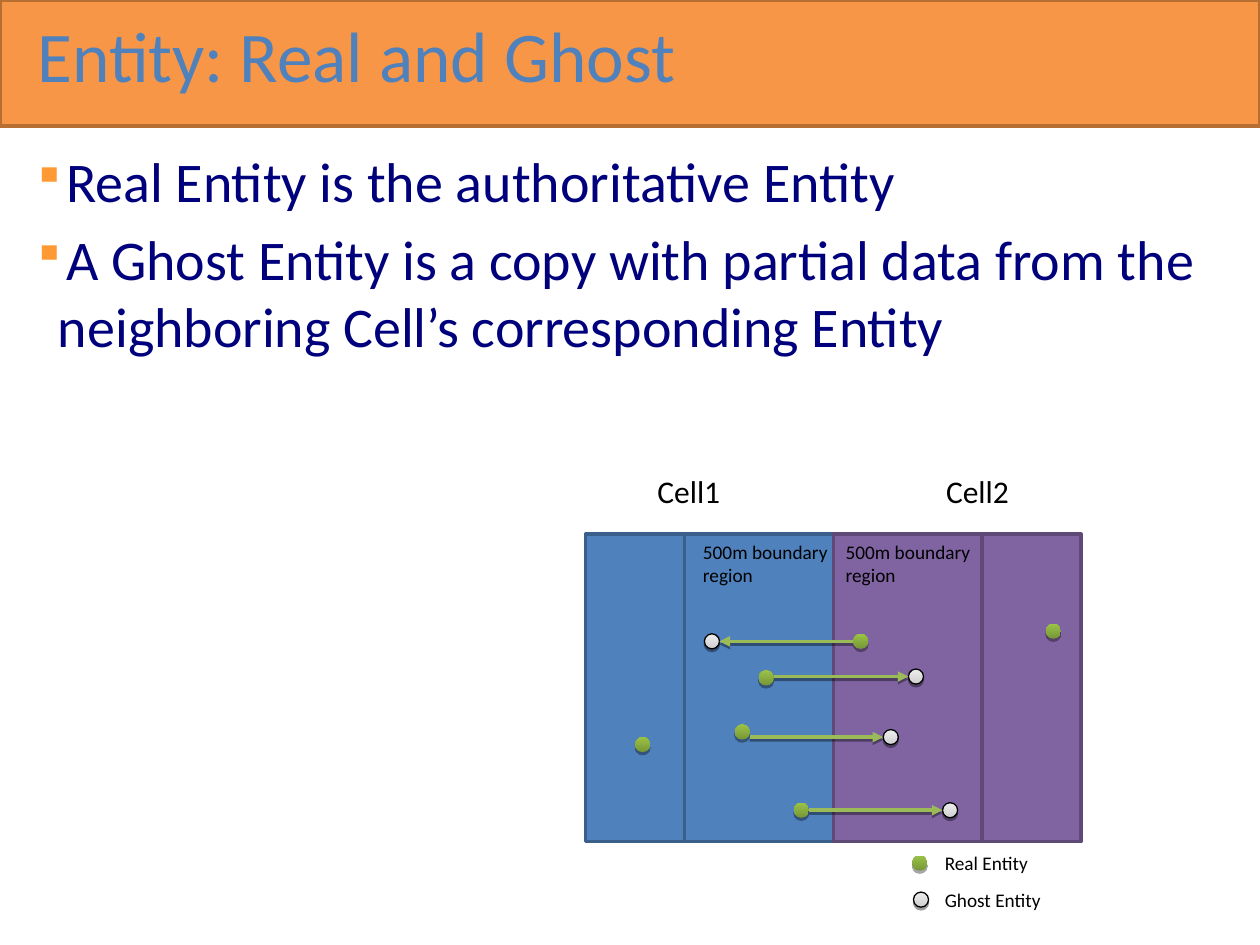
from typing import NamedTuple

from lxml.etree import SubElement
from pptx import Presentation
from pptx.dml.color import RGBColor
from pptx.enum.shapes import MSO_CONNECTOR as Connector, MSO_SHAPE as Shape
from pptx.enum.text import MSO_ANCHOR as Anchor
from pptx.oxml.ns import qn
from pptx.util import Pt

COLORS = {
    "banner": "F79646", "banner_line": "B66E33", "title": "4F81BD",
    "body": "00007D", "bullet": "FF9933", "black": "000000",
    "cell1": "4F81BD", "cell1_line": "3A5F8B",
    "cell2": "8064A2", "cell2_line": "5E4977",
    "real_dark": "779637", "real_light": "9BC348",
    "ghost_dark": "D0D0D0", "ghost_light": "EDEDED", "arrow": "9BBB59",
}
FONT = "Calibri"
DOT = 8.64
CELL_TOP, CELL_HEIGHT, CELL_WIDTH, REGION_WIDTH = 305.3, 175.5, 141.6, 85
BORDER_X = 476.2


class Point(NamedTuple):
    x: float
    y: float


class Box(NamedTuple):
    left: float
    top: float
    width: float
    height: float


class Label(NamedTuple):
    text: str
    box: Box
    size: float


class Replica(NamedTuple):
    real: Point
    ghost: Point


REPLICAS = [
    Replica(Point(491.8, 366.5), Point(406.8, 366.5)),
    Replica(Point(437.8, 387.4), Point(523.4, 386.6)),
    Replica(Point(424.1, 418.3), Point(509, 421.2)),
    Replica(Point(457.9, 463), Point(542.9, 463)),
]
UNSHARED = [Point(367.2, 425.5), Point(601.9, 360.7)]
LEGEND_REAL, LEGEND_GHOST = Point(525.6, 493.2), Point(526.3, 514.1)

LABELS = [
    Label("Cell1", Box(368.6, 266.4, 51.1, 50.4), 18),
    Label("Cell2", Box(533.5, 266.4, 51.1, 50.4), 18),
    Label("500m boundary region", Box(394.6, CELL_TOP, 85.7, 46), 11),
    Label("500m boundary region", Box(BORDER_X, CELL_TOP, 108, 46), 11),
    Label("Real Entity", Box(532.8, 483.1, 93.6, 20.2), 11),
    Label("Ghost Entity", Box(532.8, 504, 93.6, 20.2), 11),
]
BULLETS = [
    "Real Entity is the authoritative Entity",
    "A Ghost Entity is a copy with partial data from the "
    "neighboring Cell’s corresponding Entity",
]


def rgb(name: str) -> RGBColor:
    return RGBColor.from_string(COLORS[name])


def points(values) -> list:
    return [Pt(value) for value in values]


def add_shadow(effects, opacity: int, distance: float) -> None:
    """Put a sharp shadow straight below into an a:effectLst element."""
    shadow = SubElement(effects, qn("a:outerShdw"), blurRad="0",
                        dist=str(Pt(distance)), dir="5400000", rotWithShape="0")
    color = SubElement(shadow, qn("a:srgbClr"), val=COLORS["black"])
    SubElement(color, qn("a:alpha"), val=str(opacity * 1000))


def add_panel(slide, kind, box: Box, color: str) -> None:
    panel = slide.shapes.add_shape(kind, *points(box))
    panel.shadow.inherit = False
    panel.fill.solid()
    panel.fill.fore_color.rgb = rgb(color)
    panel.line.color.rgb = rgb(color + "_line")
    panel.line.width = Pt(2)


def add_entity(slide, center: Point, kind: str) -> None:
    """Draw a dot of kind "real" or "ghost"."""
    corner = (center.x - DOT / 2, center.y - DOT / 2)
    dot = slide.shapes.add_shape(Shape.FLOWCHART_CONNECTOR,
                                 *points((*corner, DOT, DOT)))
    dot.fill.gradient()
    dot.fill.gradient_angle = 90
    for stop, shade in zip(dot.fill.gradient_stops, ("dark", "light")):
        stop.color.rgb = rgb(f"{kind}_{shade}")
    if kind == "ghost":
        dot.line.color.rgb = rgb("black")
        dot.line.width = Pt(0.75)
    else:
        dot.line.fill.background()
    dot.shadow.inherit = False
    effects = dot._element.spPr.find(qn("a:effectLst"))
    add_shadow(effects, *((38, 1.6) if kind == "ghost" else (35, 1.8)))


def add_arrow(slide, replica: Replica) -> None:
    """Point from the rim of the real entity to the rim of its ghost."""
    real, ghost = replica
    rim = DOT / 2 if ghost.x > real.x else -DOT / 2
    ends = (real.x + rim, ghost.y, ghost.x - rim, ghost.y)
    arrow = slide.shapes.add_connector(Connector.STRAIGHT, *points(ends))
    arrow.line.color.rgb = rgb("arrow")
    arrow.line.width = Pt(2)
    properties = arrow._element.spPr
    SubElement(properties.find(qn("a:ln")), qn("a:tailEnd"), type="triangle")
    add_shadow(SubElement(properties, qn("a:effectLst")), 38, 1.6)


def format_runs(paragraph, size: float, color: str) -> None:
    for run in paragraph.runs:
        run.font.name = FONT
        run.font.size = Pt(size)
        run.font.color.rgb = rgb(color)


def add_text(slide, label: Label, color: str = "black"):
    frame = slide.shapes.add_textbox(*points(label.box)).text_frame
    frame.word_wrap = True
    frame.text = label.text
    for paragraph in frame.paragraphs:
        format_runs(paragraph, label.size, color)
    return frame


def add_bullet(paragraph) -> None:
    properties = paragraph._p.get_or_add_pPr()
    properties.set("marL", str(Pt(14.4)))
    properties.set("indent", str(Pt(-14.4)))
    color = SubElement(properties, qn("a:buClr"))
    SubElement(color, qn("a:srgbClr"), val=COLORS["bullet"])
    SubElement(properties, qn("a:buSzPct"), val="80000")
    SubElement(properties, qn("a:buChar"), char="▪")


def add_heading(slide) -> None:
    add_panel(slide, Shape.RECTANGLE, Box(0, 0, 720, 72), "banner")
    title = Label("Entity: Real and Ghost", Box(14.4, 10.1, 555, 51), 40.7)
    frame = add_text(slide, title, "title")
    frame.vertical_anchor = Anchor.MIDDLE
    frame.paragraphs[0].line_spacing = 0.8


def add_body(slide) -> None:
    body = Label("\n".join(BULLETS), Box(14.4, 82.8, 688.3, 428.4), 32)
    frame = add_text(slide, body, "body")
    frame.margin_left, frame.margin_top = Pt(4.3), Pt(0.7)
    frame.margin_right, frame.margin_bottom = Pt(2.9), Pt(3.6)
    for index, paragraph in enumerate(frame.paragraphs):
        add_bullet(paragraph)
        if index:
            paragraph.space_before = Pt(6.4)


def add_diagram(slide) -> None:
    for color, side in (("cell1", -1), ("cell2", 0)):
        for width in (CELL_WIDTH, REGION_WIDTH):
            box = Box(BORDER_X + side * width, CELL_TOP, width, CELL_HEIGHT)
            add_panel(slide, Shape.FLOWCHART_PROCESS, box, color)
    for label in LABELS:
        add_text(slide, label)
    for center in [pair.real for pair in REPLICAS] + UNSHARED + [LEGEND_REAL]:
        add_entity(slide, center, "real")
    for center in [pair.ghost for pair in REPLICAS] + [LEGEND_GHOST]:
        add_entity(slide, center, "ghost")
    for replica in REPLICAS:
        add_arrow(slide, replica)


def main() -> None:
    deck = Presentation()
    deck.slide_width, deck.slide_height = Pt(720), Pt(540)
    slide = deck.slides.add_slide(deck.slide_layouts[6])
    add_heading(slide)
    add_body(slide)
    add_diagram(slide)
    deck.save("out.pptx")


if __name__ == "__main__":
    main()
